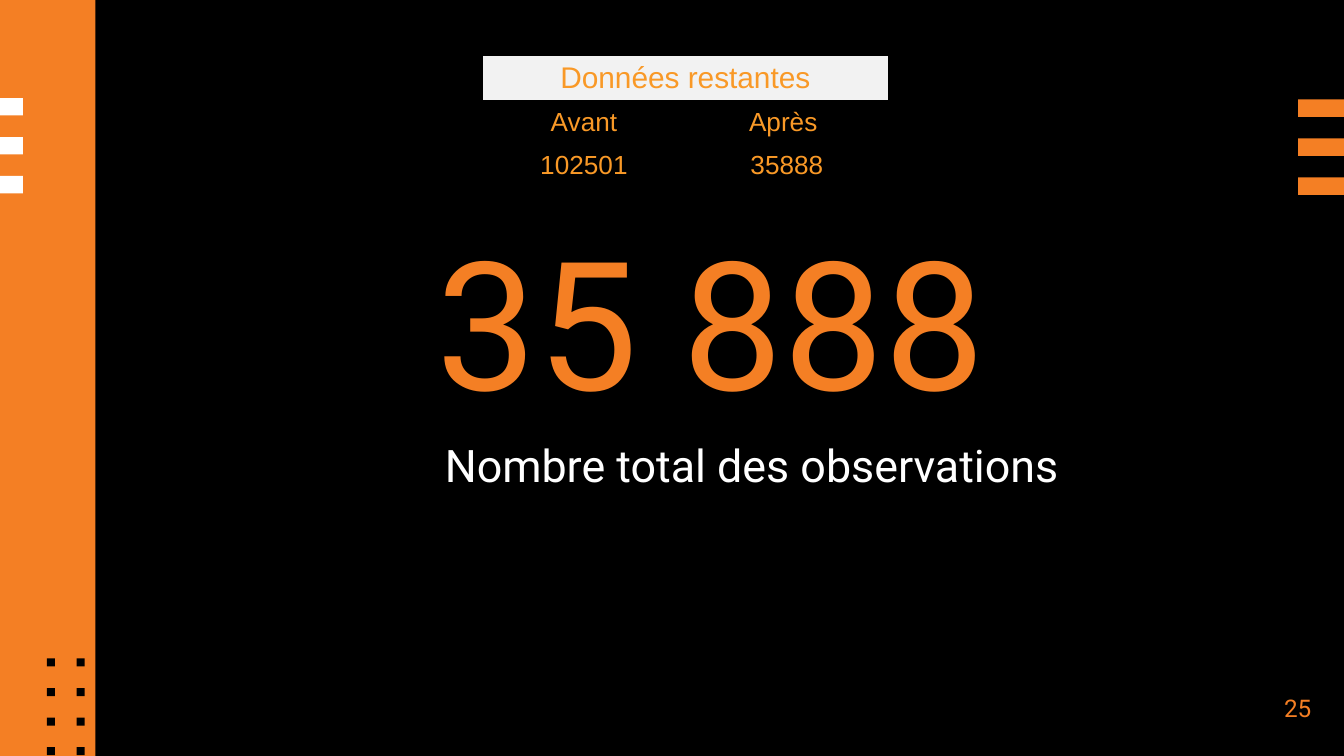
from lxml.etree import SubElement
from pptx import Presentation
from pptx.dml.color import RGBColor
from pptx.enum.shapes import MSO_SHAPE as Shape
from pptx.enum.text import MSO_ANCHOR as Anchor, MSO_AUTO_SIZE as Auto, PP_ALIGN as Align
from pptx.oxml.ns import qn
from pptx.util import Inches, Pt

WIDE = 10
HIGH = WIDE * 9 / 16
ORANGE, AMBER, WHITE, BLACK, PALE = "F47F24", "F99927", "FFFFFF", "000000", "F2F2F2"

TITLE = "35 888"
SUB = "Nombre total des observations"
PAGE = "25"
HEAD = "Données restantes"
ROWS = [("Avant", "Après "), ("102501", "35888")]
HEIGHTS = [0.34, 0.32, 0.32]

# Left, first top, width, colour
BARS = [(0, 0.73, 0.17, WHITE), (WIDE - 0.34, 0.74, 0.34, ORANGE)]
BAR, BAR_STEP = 0.13, 0.29
DOT_LEFT, DOT_TOP, DOT, DOT_STEP = 0.35, 4.9, 0.06, 0.22


def color(code):
    return RGBColor.from_string(code)


def box(left, top, width, height, code):
    rect = slide.shapes.add_shape(Shape.RECTANGLE, *map(Inches, (left, top, width, height)))
    rect.shadow.inherit = False
    rect.fill.solid()
    rect.fill.fore_color.rgb = color(code)
    rect.line.fill.background()


def style(para, size, font, code, align):
    para.font.size, para.font.name = Pt(size), font
    para.font.color.rgb = color(code)
    para.alignment = align


def write(shape, at, text, size, code, align=Align.LEFT, anchor=Anchor.MIDDLE):
    """Place a text shape without insets, fill it and return its paragraph."""
    shape.left, shape.top, shape.width, shape.height = map(Inches, at)
    frame = shape.text_frame
    frame.text = text
    frame.word_wrap, frame.auto_size = True, Auto.NONE
    frame.vertical_anchor = anchor
    frame.margin_left = frame.margin_right = frame.margin_top = frame.margin_bottom = 0
    para = frame.paragraphs[0]
    style(para, size, "Roboto", code, align)
    return para


def put(cell, text, size, fill=None):
    cell.text = text
    cell.vertical_anchor = Anchor.MIDDLE
    cell.margin_top = cell.margin_bottom = Inches(0.02)
    style(cell.text_frame.paragraphs[0], size, "Arial", AMBER, Align.CENTER)
    if fill:
        cell.fill.solid()
        cell.fill.fore_color.rgb = color(fill)
    else:
        cell.fill.background()


def border(cell, code):
    props = cell._tc.get_or_add_tcPr()
    for spot, side in enumerate(("lnL", "lnR", "lnT", "lnB")):
        line = SubElement(props, qn(f"a:{side}"), w=str(Pt(0.75)))
        SubElement(SubElement(line, qn("a:solidFill")), qn("a:srgbClr"), val=code)
        props.insert(spot, line)


deck = Presentation()
deck.slide_width, deck.slide_height = Inches(WIDE), Inches(HIGH)
slide = deck.slides.add_slide(deck.slide_layouts[0])
slide.background.fill.solid()
slide.background.fill.fore_color.rgb = color(BLACK)

box(0, 0, 0.71, HIGH, ORANGE)
for left, top, width, code in BARS:
    for row in range(3):
        box(left, top + row * BAR_STEP, width, BAR, code)
for row in range(4):
    for col in range(2):
        top = DOT_TOP + row * DOT_STEP
        box(DOT_LEFT + col * DOT_STEP, top, DOT, DOT, BLACK)

title, sub = slide.placeholders
para = write(title, (3.25, 1.84, 5.09, 1.27), TITLE, 96, ORANGE)
para.line_spacing = 0.9
para = write(sub, (3.31, 3.2, 5.45, 0.86), SUB, 24, WHITE, anchor=Anchor.TOP)
para.line_spacing, para.space_before = 1.15, Pt(6)
page = slide.shapes.add_textbox(0, 0, 0, 0)
write(page, (9.3, 4.91, 0.71, 0.71), PAGE, 13, ORANGE, Align.CENTER)

table = slide.shapes.add_table(3, 2, *map(Inches, (3.59, 0.41, 3.02, sum(HEIGHTS)))).table
table.first_row = table.horz_banding = False
for row, height in zip(table.rows, HEIGHTS):
    row.height = Inches(height)
table.cell(0, 0).merge(table.cell(0, 1))
put(table.cell(0, 0), HEAD, 16, PALE)
for row, texts in enumerate(ROWS, 1):
    for col, text in enumerate(texts):
        put(table.cell(row, col), text, 14)
for cell in table.iter_cells():
    border(cell, BLACK)

deck.save("out.pptx")
